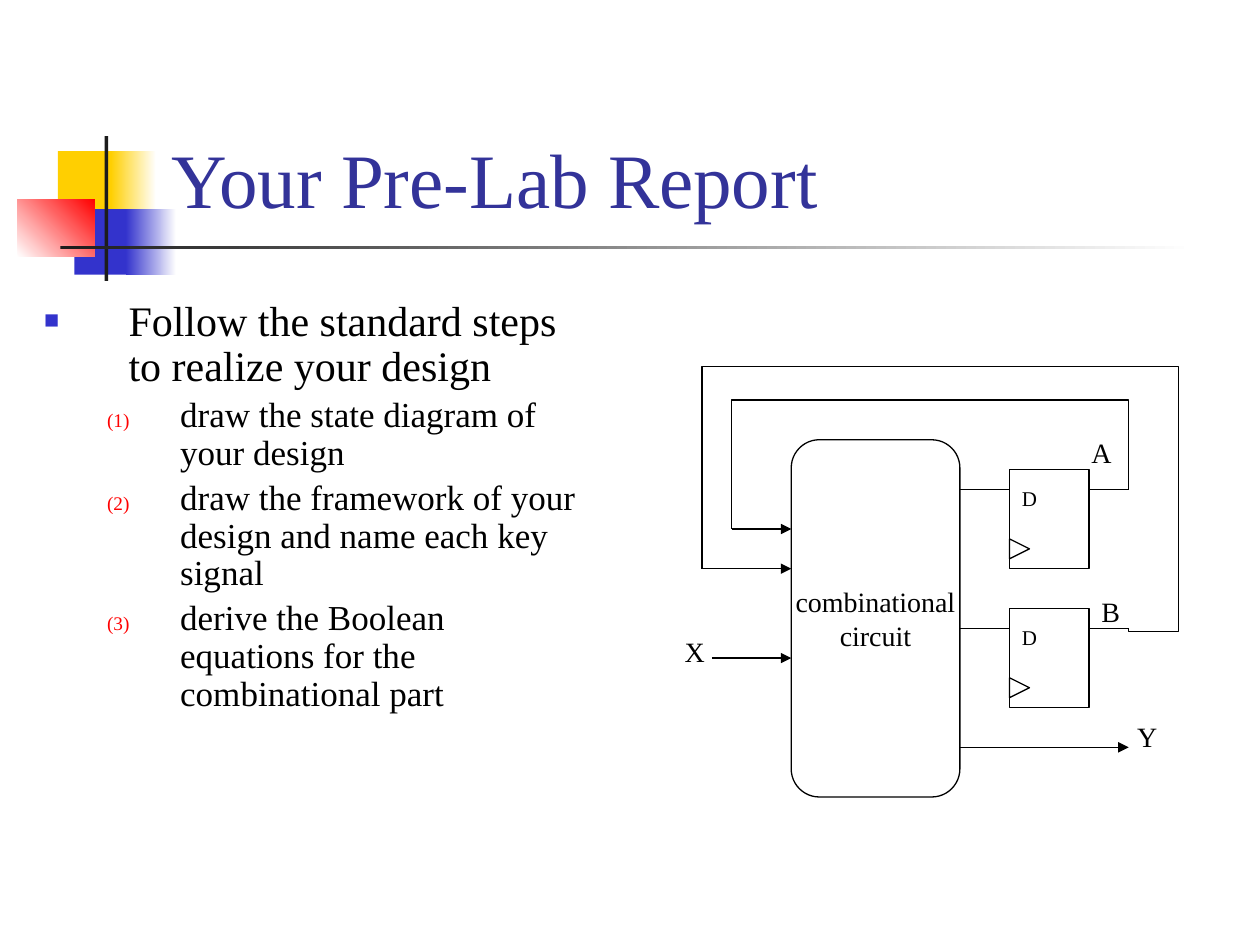
from lxml import etree
from pptx import Presentation, util as u
from pptx.dml.color import RGBColor
from pptx.enum import shapes, text
from pptx.oxml.ns import qn

prs = Presentation()
prs.slide_width, prs.slide_height = u.Inches(10), u.Inches(7.5)
s = prs.slides.add_slide(prs.slide_layouts[1])
title, body = s.placeholders
FONT = "Times New Roman"
CELL = u.Pt(11.34)
X0, Y0 = u.Inches(6.28), u.Inches(3.49)


def style(obj, color, size=None):
    rgb = RGBColor.from_string(color)
    if size:
        obj.font.name, obj.font.size, obj.font.color.rgb = FONT, u.Pt(size), rgb
    else:
        obj.color.rgb, obj.width = rgb, u.Pt(0.75)


def grid(c, r):
    return round(X0 + c * CELL), round(Y0 + r * CELL)


decor = [
    (0.46, 1.2, 0.48, 0.52, ["FFCF01"], 0),
    (0.88, 1.2, 0.36, 0.52, ["FFCF01", "FFFFFF"], 0),
    (0.59, 1.66, 0.46, 0.52, ["3333CC"], 0),
    (1, 1.66, 0.4, 0.52, ["3333CC", "FFFFFF"], 0),
    (0.14, 1.58, 0.61, 0.46, ["FFFFFF", "FF0000"], 45),
    (0.83, 1.08, 0.03, 1.15, ["1C1C1C"], 0),
    (0.48, 1.95, 9, 0.03, ["1C1C1C", "FFFFFF"], 0),
]
for i, (*box, colors, angle) in enumerate(decor):
    sp = s.shapes.add_shape(shapes.MSO_SHAPE.RECTANGLE, *map(u.Inches, box))
    sp.shadow.inherit = False
    sp.line.fill.background()
    if len(colors) == 1:
        sp.fill.solid()
        sp.fill.fore_color.rgb = RGBColor.from_string(colors[0])
    else:
        sp.fill.gradient()
        sp.fill.gradient_angle = angle
        for stop, color in zip(sp.fill.gradient_stops, colors):
            stop.color.rgb = RGBColor.from_string(color)
    s.shapes._spTree.insert(2 + i, sp._element)

title.left, title.top, title.width, title.height = map(u.Inches, (1.26, 0.23, 8.52, 1.6))
tf = title.text_frame
tf.text = "Your Pre-Lab Report"
tf.auto_size = text.MSO_AUTO_SIZE.NONE
tf.vertical_anchor = text.MSO_ANCHOR.BOTTOM
tf.paragraphs[0].alignment = text.PP_ALIGN.LEFT
style(tf.paragraphs[0].runs[0], "333399", 44)

body.left, body.top, body.width, body.height = map(u.Inches, (0.25, 2.33, 4.42, 3.67))
tf = body.text_frame
tf.text = "\n".join([
    "Follow the standard steps to realize your design",
    "draw the state diagram of your design",
    "draw the framework of your design and name each key signal",
    "derive the Boolean equations for the combinational part",
])
tf.auto_size = text.MSO_AUTO_SIZE.NONE
for i, p in enumerate(tf.paragraphs):
    p.level = min(i, 1)
    left, hang, color, pct, size, tag, attrs = (
        (1.08, 0.58, "FF0000", 55, 20, "a:buAutoNum", {"type": "arabicParenBoth"}) if i
        else (0.67, 0.67, "3333CC", 60, 24, "a:buChar", {"char": "■"}))
    pPr = p._p.get_or_add_pPr()
    pPr.set("marL", str(u.Inches(left)))
    pPr.set("indent", str(-u.Inches(hang)))
    clr = etree.SubElement(pPr, qn("a:buClr"))
    etree.SubElement(clr, qn("a:srgbClr"), val=color)
    etree.SubElement(pPr, qn("a:buSzPct"), val=str(pct * 1000))
    etree.SubElement(pPr, qn("a:buFont"), typeface=FONT)
    etree.SubElement(pPr, qn(tag), attrs)
    p.line_spacing = 0.9
    p.space_before = u.Pt(size * 0.2 if i else 0)
    style(p.runs[0], "000000", size)

blocks = [(shapes.MSO_SHAPE.ROUNDED_RECTANGLE, 0, 0, 8.5, 18, 0)]
wires = [(-3, 4.5, 0, 4.5, True), (-4.5, 6.5, 0, 6.5, True),
         (-4, 11, 0, 11, True), (8.5, 15.5, 17, 15.5, True)]
labels = [("X", -6, 9.5, 16), ("Y", 16.8, 13.8, 16), ("A", 14.5, -0.5, 16), ("B", 15, 7.5, 16)]
for top in (1.5, 8.5):
    blocks += [(shapes.MSO_SHAPE.RECTANGLE, 11, top, 4, 5, 0),
               (shapes.MSO_SHAPE.ISOSCELES_TRIANGLE, 11, top + 3.5, 1, 1, 90)]
    wires += [(15, top + 1, 17, top + 1, False), (8.5, top + 1, 11, top + 1, False)]
    labels.append(("D", 11, top + 0.5, 12))

for kind, c, r, w, h, turn in blocks:
    sp = s.shapes.add_shape(kind, *grid(c, r), round(w * CELL), round(h * CELL))
    sp.rotation = turn
    sp.shadow.inherit = False
    sp.fill.background()
    style(sp.line, "000000")
    if kind == shapes.MSO_SHAPE.ROUNDED_RECTANGLE:
        tf = sp.text_frame
        tf.text = "combinational\ncircuit"
        tf.word_wrap = False
        tf.vertical_anchor = text.MSO_ANCHOR.MIDDLE
        for p in tf.paragraphs:
            p.alignment = text.PP_ALIGN.CENTER
            style(p.runs[0], "000000", 16)

for c1, r1, c2, r2, arrow in wires:
    cx = s.shapes.add_connector(shapes.MSO_CONNECTOR.STRAIGHT, *grid(c1, r1), *grid(c2, r2))
    style(cx.line, "000000")
    if arrow:
        etree.SubElement(cx.line._get_or_add_ln(), qn("a:tailEnd"), type="triangle")
    etree.SubElement(cx._element.spPr, qn("a:effectLst"))

feedback = [
    [(17, 2.5), (17, -2), (-3, -2), (-3, 4.5)],
    [(17, 9.5), (17, 9.65), (19.5, 9.65), (19.5, -3.7), (-4.5, -3.7), (-4.5, 6.5)],
]
for route in feedback:
    start, *rest = [grid(c, r) for c, r in route]
    fb = s.shapes.build_freeform(*start)
    fb.add_line_segments(rest, close=False)
    sp = fb.convert_to_shape()
    sp.shadow.inherit = False
    sp.fill.background()
    style(sp.line, "000000")

for label, c, r, size in labels:
    tb = s.shapes.add_textbox(*grid(c, r), u.Inches(0.36), u.Inches(0.37 if size == 16 else 0.3))
    tf = tb.text_frame
    tf.text = label
    tf.word_wrap = False
    tf.auto_size = text.MSO_AUTO_SIZE.SHAPE_TO_FIT_TEXT
    style(tf.paragraphs[0].runs[0], "000000", size)

prs.save("out.pptx")
